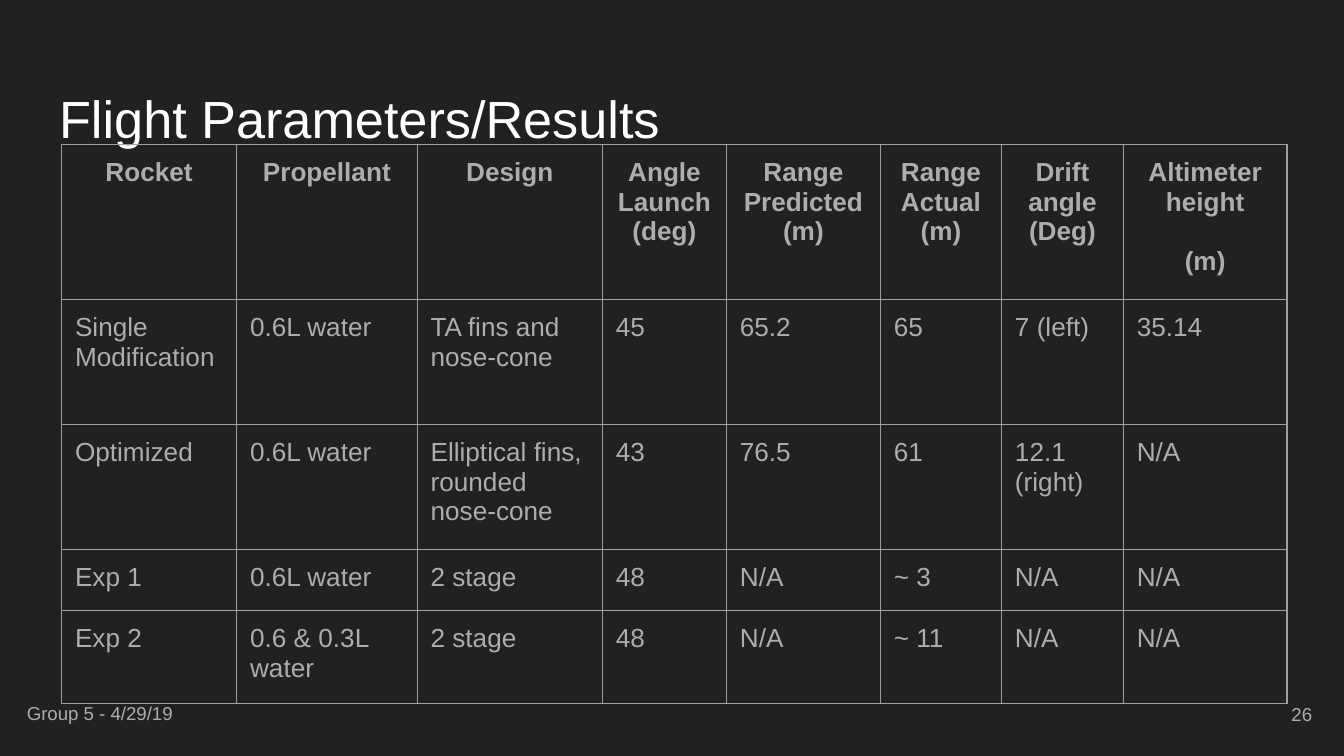
from lxml import etree
from pptx import Presentation
from pptx.dml.color import RGBColor
from pptx.enum.text import MSO_ANCHOR, PP_ALIGN
from pptx.oxml.ns import qn
from pptx.util import Pt

TOP, MIDDLE = MSO_ANCHOR.TOP, MSO_ANCHOR.MIDDLE
LEFT, CENTER, RIGHT = PP_ALIGN.LEFT, PP_ALIGN.CENTER, PP_ALIGN.RIGHT
TITLE_ONLY = 5

COLORS = {"background": "212121", "title": "FFFFFF", "text": "ADADAD", "border": "9E9E9E"}
FONT = "Arial"
INSET = 7.2
BORDER_WIDTH = 0.75

# Content: a line break in a heading starts a new paragraph
TITLE = "Flight Parameters/Results"
PAGE_NUMBER = "26"
GROUP_DATE = "Group 5 - 4/29/19"
HEADINGS = ["Rocket", "Propellant", "Design", "Angle Launch (deg)", "Range\nPredicted\n(m)",
            "Range Actual\n(m)", "Drift angle\n(Deg)", "Altimeter height\n(m)"]
FLIGHTS = [
    ["Single Modification", "0.6L water", "TA fins and nose-cone", "45", "65.2", "65",
     "7 (left)", "35.14"],
    ["Optimized", "0.6L water", "Elliptical fins, rounded nose-cone", "43", "76.5", "61",
     "12.1 (right)", "N/A"],
    ["Exp 1", "0.6L water", "2 stage", "48", "N/A", "~ 3", "N/A", "N/A"],
    ["Exp 2", "0.6 & 0.3L water", "2 stage", "48", "N/A", "~ 11", "N/A", "N/A"],
]
COLUMN_WIDTHS = [93.8, 96.7, 99.3, 66.4, 82.5, 64.9, 65.3, 87.6]
ROW_HEIGHTS = [83, 67, 67, 32.6, 49.8]
TABLE_LEFT, TABLE_TOP = 33, 77.5
UNIT_GAP = 16  # sets the altimeter unit apart from its heading


def color(name):
    return RGBColor.from_string(COLORS[name])


def write(frame, text, size, color_name="text", align=LEFT, bold=False):
    frame.text = text
    for paragraph in frame.paragraphs:
        paragraph.alignment = align
        font = paragraph.font
        font.name, font.size, font.bold = FONT, Pt(size), bold
        font.color.rgb = color(color_name)


def set_insets(holder):
    holder.margin_left = holder.margin_right = Pt(INSET)
    holder.margin_top = holder.margin_bottom = Pt(INSET)


def set_borders(cell):
    properties = cell._tc.get_or_add_tcPr()
    for side in ("a:lnL", "a:lnR", "a:lnT", "a:lnB"):
        line = etree.SubElement(properties, qn(side), w=str(Pt(BORDER_WIDTH)))
        fill = etree.SubElement(line, qn("a:solidFill"))
        etree.SubElement(fill, qn("a:srgbClr"), val=COLORS["border"])


def add_label(slide, text, box, anchor):
    frame = slide.shapes.add_textbox(*map(Pt, box)).text_frame
    frame.word_wrap = True
    frame.vertical_anchor = anchor
    set_insets(frame)
    write(frame, text, 10, align=RIGHT)


def add_title(slide):
    title = slide.shapes.title
    title.left, title.top, title.width, title.height = map(Pt, (24.5, 39, 671, 45))
    title.text_frame.vertical_anchor = TOP
    set_insets(title.text_frame)
    write(title.text_frame, TITLE, 28, "title")


def add_results(slide):
    rows = [HEADINGS] + FLIGHTS
    table = slide.shapes.add_table(
        len(rows), len(HEADINGS), Pt(TABLE_LEFT), Pt(TABLE_TOP),
        Pt(sum(COLUMN_WIDTHS)), Pt(sum(ROW_HEIGHTS))).table
    table.first_row = table.horz_banding = False
    for column, width in zip(table.columns, COLUMN_WIDTHS):
        column.width = Pt(width)
    for row, height in zip(table.rows, ROW_HEIGHTS):
        row.height = Pt(height)
    for r, values in enumerate(rows):
        for c, value in enumerate(values):
            cell = table.cell(r, c)
            set_insets(cell)
            set_borders(cell)
            cell.fill.background()
            heading = r == 0
            write(cell.text_frame, value, 14, align=CENTER if heading else LEFT, bold=heading)
    altimeter = table.cell(0, len(HEADINGS) - 1)
    altimeter.text_frame.paragraphs[-1].space_before = Pt(UNIT_GAP)


def main():
    deck = Presentation()
    deck.slide_width, deck.slide_height = Pt(720), Pt(405)
    slide = deck.slides.add_slide(deck.slide_layouts[TITLE_ONLY])
    slide.background.fill.solid()
    slide.background.fill.fore_color.rgb = color("background")

    add_title(slide)
    # Page number and footer
    add_label(slide, PAGE_NUMBER, (667, 367, 43, 31), MIDDLE)
    add_label(slide, GROUP_DATE, (3.5, 370, 96, 31.5), TOP)
    add_results(slide)
    deck.save("out.pptx")


if __name__ == "__main__":
    main()
